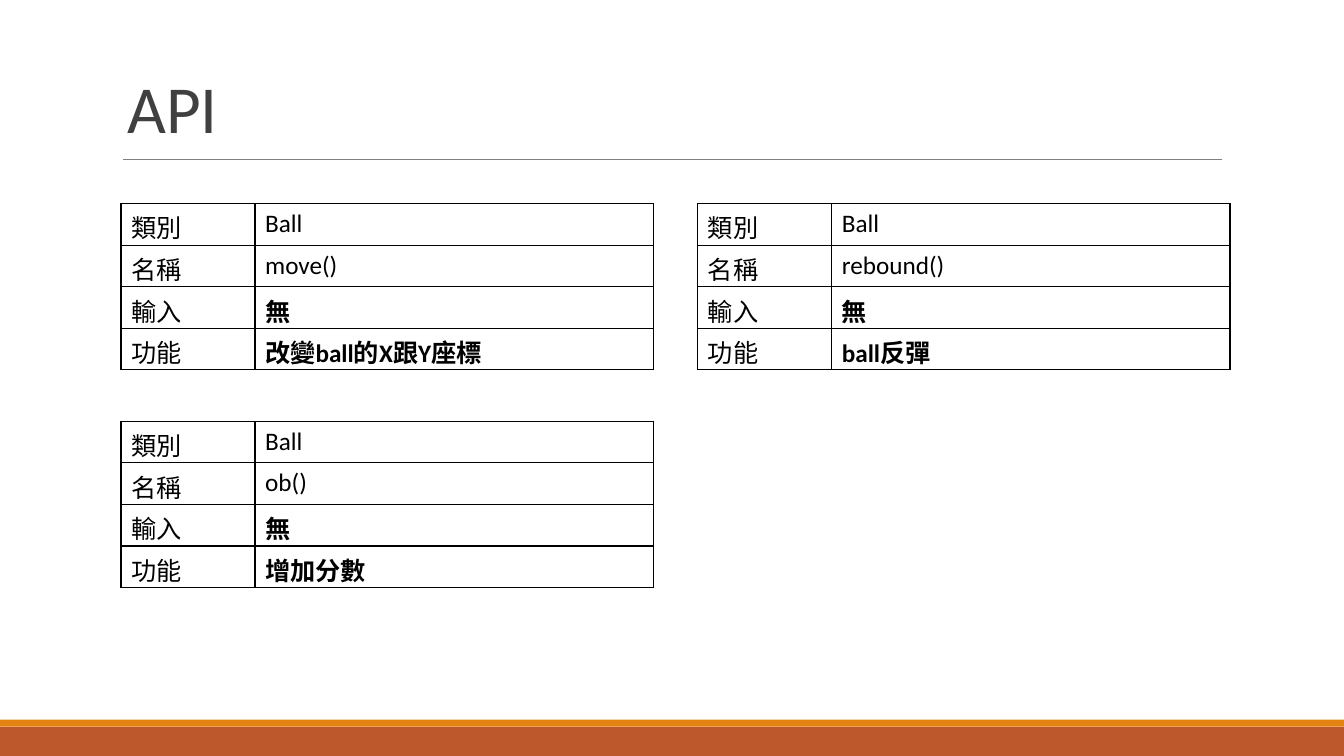
"""Build the API slide: a title and three method tables for the Ball class."""
from lxml import etree
from pptx import Presentation
from pptx import util as u
from pptx.dml.color import RGBColor
from pptx.enum import shapes, text
from pptx.oxml.ns import qn

COLORS = {"rust": "BD582C", "orange": "E48312", "rule": "808080",
          "title": "404040", "ink": "000000", "paper": "FFFFFF"}
LABELS = ["類別", "名稱", "輸入", "功能"]
METHODS = [
    (1.2, 2.02, "move()", "改變ball的X跟Y座標"),
    (1.2, 4.18, "ob()", "增加分數"),
    (6.92, 2.02, "rebound()", "ball反彈"),
]


def style_font(font, size, color, bold=False):
    font.name = "Calibri"
    font.size = u.Pt(size)
    font.bold = bold
    font.color.rgb = RGBColor.from_string(COLORS[color])


def add_borders(cell):
    properties = cell._tc.get_or_add_tcPr()
    for position, side in enumerate(("a:lnL", "a:lnR", "a:lnT", "a:lnB")):
        line = etree.Element(qn(side), w=str(u.Pt(1)))
        fill = etree.SubElement(line, qn("a:solidFill"))
        etree.SubElement(fill, qn("a:srgbClr"), val=COLORS["ink"])
        properties.insert(position, line)


presentation = Presentation()
presentation.slide_width = u.Inches(13.33)
presentation.slide_height = u.Inches(7.5)
slide = presentation.slides.add_slide(presentation.slide_layouts[6])

for top, height, color in [(7.21, 0.29, "rust"), (7.14, 0.07, "orange")]:
    band = slide.shapes.add_shape(shapes.MSO_SHAPE.RECTANGLE, 0, u.Inches(top),
                                  presentation.slide_width, u.Inches(height))
    band.shadow.inherit = False
    band.fill.solid()
    band.fill.fore_color.rgb = RGBColor.from_string(COLORS[color])
    band.line.fill.background()

rule = slide.shapes.add_connector(shapes.MSO_CONNECTOR.STRAIGHT, u.Inches(1.22), u.Inches(1.58),
                                  u.Inches(12.12), u.Inches(1.58))
rule.line.color.rgb = RGBColor.from_string(COLORS["rule"])
rule.line.width = u.Pt(0.5)
etree.SubElement(rule._element.spPr, qn("a:effectLst"))

title = slide.shapes.add_textbox(u.Inches(1.17), u.Inches(-0.08), u.Inches(11), u.Inches(1.59))
title.text_frame.word_wrap = True
title.text_frame.vertical_anchor = text.MSO_ANCHOR.BOTTOM
paragraph = title.text_frame.paragraphs[0]
paragraph.text = "API"
paragraph.line_spacing = 0.85
style_font(paragraph.font, 48, "title")
paragraph.runs[0]._r.get_or_add_rPr().set("spc", "-50")

for left, top, name, purpose in METHODS:
    frame = slide.shapes.add_table(len(LABELS), 2, u.Inches(left), u.Inches(top),
                                   u.Inches(5.28), u.Inches(1.65))
    table = frame.table
    table.first_row = False
    table.horz_banding = False
    table.columns[0].width = u.Inches(1.33)
    table.columns[1].width = u.Inches(3.95)
    for row, pair in enumerate(zip(LABELS, ["Ball", name, "無", purpose])):
        for column, wording in enumerate(pair):
            cell = table.cell(row, column)
            cell.fill.solid()
            cell.fill.fore_color.rgb = RGBColor.from_string(COLORS["paper"])
            add_borders(cell)
            paragraph = cell.text_frame.paragraphs[0]
            paragraph.text = wording
            style_font(paragraph.font, 18, "ink", bold=column == 1 and row >= 2)

presentation.save("out.pptx")
